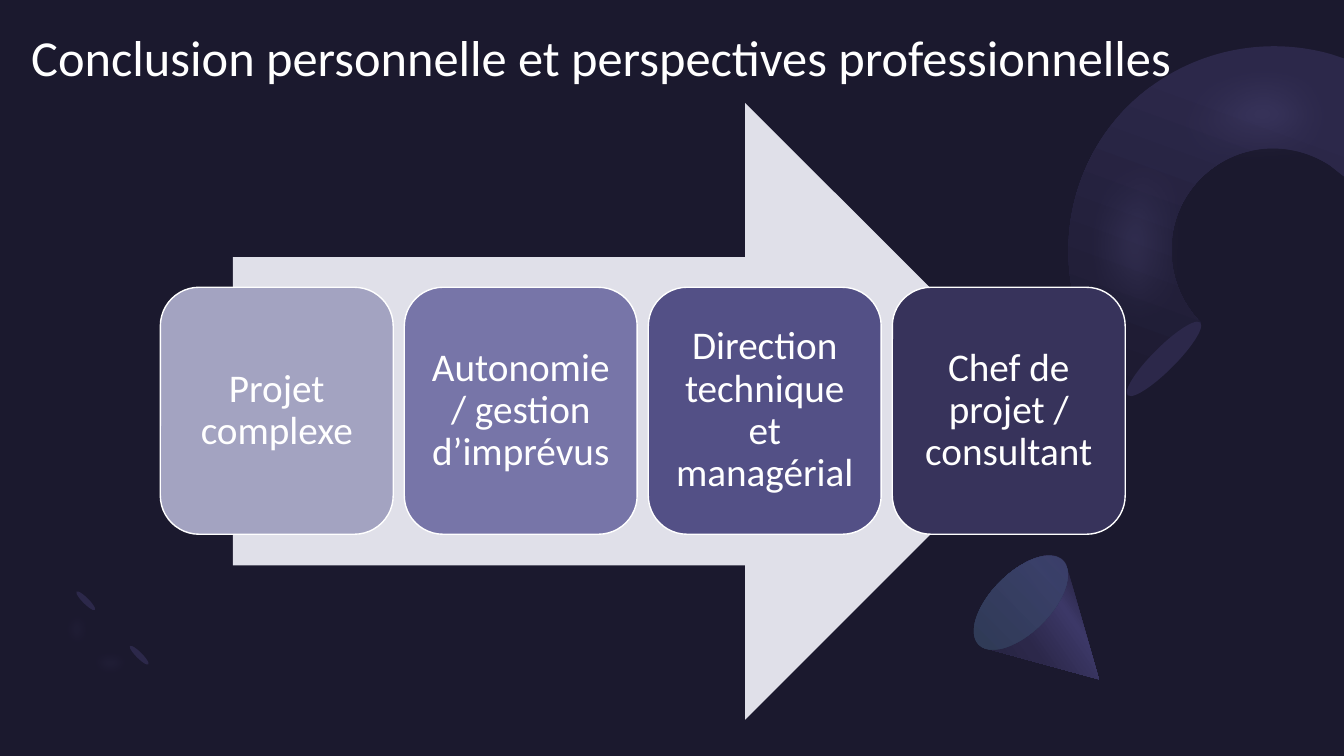
import math
from dataclasses import dataclass

from lxml import etree
from pptx import Presentation
from pptx import util as u
from pptx.dml.color import RGBColor
from pptx.enum import shapes, text
from pptx.oxml.ns import qn
from pptx.shapes.autoshape import Shape
from pptx.slide import Slide


@dataclass(frozen=True)
class Theme:
    font: str = "Calibri"
    title_size: int = 36
    step_size: int = 28
    white: str = "FFFFFF"
    night: str = "1B192E"
    indigo: str = "2C284A"
    violet: str = "3C3867"
    lavender: str = "7771B2"
    teal: str = "2F3D56"
    slate: str = "3E4270"
    arrow: str = "E0E0E9"


THEME = Theme()


@dataclass(frozen=True)
class Stop:
    position: int
    color: str


@dataclass(frozen=True)
class Paint:
    stops: tuple[Stop, ...]
    angle: int = 0
    opacity: int = 100
    soft_edge: float = 0


@dataclass(frozen=True)
class Frame:
    left: float
    top: float
    width: float
    height: float
    rotation: int = 0


@dataclass(frozen=True)
class Outline:
    frame: Frame
    paint: Paint
    start: tuple[float, float]
    segments: tuple[tuple[float, ...], ...]


@dataclass(frozen=True)
class Disc:
    frame: Frame
    paint: Paint


@dataclass(frozen=True)
class Step:
    label: str
    color: str


def plain(color: str, opacity: int = 100, soft_edge: float = 0) -> Paint:
    return Paint((Stop(0, color),), 0, opacity, soft_edge)


RING_SHADE = Paint((Stop(31, THEME.indigo), Stop(97, THEME.night)), 155)
CONE_SHADE = Paint((Stop(30, THEME.indigo), Stop(40, THEME.violet),
                    Stop(60, THEME.indigo), Stop(100, THEME.night)), 10)
BASE_SHADE = Paint((Stop(0, THEME.teal), Stop(100, THEME.slate)), 90, 90)

DECORATIONS = (
    Outline(Frame(9.91, 0.82, 3.87, 2.03, 315), RING_SHADE, (11.19, 3.92), (
        (10.4, 3.13, 10.4, 1.84, 11.19, 1.05), (11.74, 0.51, 12.52, 0.34, 13.21, 0.54),
        (13.33, 0.58), (13.33, 1.75), (13.19, 1.64),
        (12.79, 1.38, 12.26, 1.42, 11.91, 1.77), (11.52, 2.16, 11.52, 2.8, 11.91, 3.2))),
    Outline(Frame(10.04, 0.82, 3.8, 2.37, 315), plain(THEME.lavender, 40, 0.43), (11.44, 4.18), (
        (10.51, 3.26, 10.4, 1.87, 11.19, 1.07), (11.69, 0.58, 12.42, 0.44, 13.12, 0.62),
        (13.32, 0.69), (13.32, 1.82), (13.3, 1.82),
        (12.87, 1.57, 12.35, 1.59, 12.03, 1.91), (11.64, 2.31, 11.69, 3, 12.15, 3.47))),
    Disc(Frame(11.43, 3.05, 0.23, 1.02, 225), plain(THEME.indigo)),
    Outline(Frame(9.82, 5.57, 1.18, 1.38, 135), CONE_SHADE, (10.9, 6.74), (
        (9.77, 6.43), (9.76, 6.43), (9.74, 6.42, 9.73, 6.41, 9.71, 6.39),
        (9.6, 6.28, 9.69, 6, 9.92, 5.77), (10.15, 5.54, 10.43, 5.44, 10.55, 5.56),
        (10.56, 5.57, 10.57, 5.59, 10.58, 5.61), (10.58, 5.62), (10.9, 6.74))),
    Disc(Frame(9.83, 5.39, 0.59, 1.18, 225), BASE_SHADE),
    Outline(Frame(0.43, 6.16, 1.01, 0.51, 45), plain(THEME.night), (0.76, 6.59), (
        (0.56, 6.39, 0.56, 6.07, 0.76, 5.87), (0.94, 6.05),
        (0.84, 6.15, 0.84, 6.31, 0.94, 6.41), (1.03, 6.51, 1.2, 6.51, 1.29, 6.41),
        (1.47, 6.59), (1.28, 6.79, 0.95, 6.79, 0.76, 6.59))),
    Disc(Frame(1.35, 6.37, 0.06, 0.26, 135), plain(THEME.indigo)),
    Disc(Frame(0.82, 5.83, 0.06, 0.26, 135), plain(THEME.indigo)),
    Outline(Frame(0.45, 6.09, 1.01, 0.58, 45), plain(THEME.lavender, 20, 0.11), (0.76, 6.59), (
        (0.56, 6.39, 0.58, 6.05, 0.81, 5.82), (0.99, 6),
        (0.87, 6.11, 0.86, 6.29, 0.96, 6.38), (1.06, 6.48, 1.23, 6.47, 1.35, 6.36),
        (1.52, 6.54), (1.3, 6.76, 0.95, 6.79, 0.76, 6.59))),
)

STEPS = (
    Step("Projet complexe", "A3A3C1"),
    Step("Autonomie / gestion d’imprévus", "7775A8"),
    Step("Direction technique et managérial", "535086"),
    Step("Chef de projet / consultant", "37335B"),
)


def apply_paint(shape: Shape, paint: Paint) -> None:
    shape.shadow.inherit = False
    shape.line.fill.background()
    shape.fill.solid()
    shape.fill.fore_color.rgb = RGBColor.from_string(paint.stops[0].color)
    properties = shape.element.spPr
    solid = properties.find(qn("a:solidFill"))
    if len(paint.stops) > 1:
        gradient = etree.Element(qn("a:gradFill"), rotWithShape="1")
        entries = etree.SubElement(gradient, qn("a:gsLst"))
        for stop in paint.stops:
            entry = etree.SubElement(entries, qn("a:gs"), pos=str(stop.position * 1000))
            etree.SubElement(entry, qn("a:srgbClr"), val=stop.color)
        etree.SubElement(gradient, qn("a:lin"), ang=str(paint.angle * 60000), scaled="0")
        properties.replace(solid, gradient)
    if paint.opacity < 100:
        fill = properties.find(qn("a:gradFill")) if len(paint.stops) > 1 else solid
        for color in fill.iter(qn("a:srgbClr")):
            etree.SubElement(color, qn("a:alpha"), val=str(paint.opacity * 1000))
    if paint.soft_edge:
        effects = properties.find(qn("a:effectLst"))
        etree.SubElement(effects, qn("a:softEdge"), rad=str(u.Inches(paint.soft_edge)))


def inside_frame(frame: Frame, x: float, y: float) -> tuple[int, int]:
    turn = math.radians(-frame.rotation)
    dx = x - frame.left - frame.width / 2
    dy = y - frame.top - frame.height / 2
    return (u.Inches(frame.width / 2 + dx * math.cos(turn) - dy * math.sin(turn)),
            u.Inches(frame.height / 2 + dx * math.sin(turn) + dy * math.cos(turn)))


def add_command(track: etree._Element, name: str, points: list[tuple[int, int]]) -> None:
    command = etree.SubElement(track, qn(name))
    for x, y in points:
        etree.SubElement(command, qn("a:pt"), x=str(x), y=str(y))


def draw_outline(page: Slide, outline: Outline) -> None:
    frame = outline.frame
    start = inside_frame(frame, *outline.start)
    pieces = [[inside_frame(frame, *piece[i:i + 2]) for i in range(0, len(piece), 2)]
              for piece in outline.segments]
    builder = page.shapes.build_freeform(*start)
    builder.add_line_segments([piece[-1] for piece in pieces], close=True)
    shape = builder.convert_to_shape()
    shape.left, shape.top = u.Inches(frame.left), u.Inches(frame.top)
    shape.width, shape.height = u.Inches(frame.width), u.Inches(frame.height)
    shape.rotation = frame.rotation
    track = next(shape.element.iter(qn("a:path")))
    for command in list(track):
        track.remove(command)
    track.set("w", str(shape.width))
    track.set("h", str(shape.height))
    add_command(track, "a:moveTo", [start])
    for piece in pieces:
        add_command(track, "a:lnTo" if len(piece) == 1 else "a:cubicBezTo", piece)
    add_command(track, "a:close", [])
    apply_paint(shape, outline.paint)


def add_preset(page: Slide, preset: shapes.MSO_SHAPE, frame: Frame, paint: Paint) -> Shape:
    shape = page.shapes.add_shape(
        preset, u.Inches(frame.left), u.Inches(frame.top),
        u.Inches(frame.width), u.Inches(frame.height))
    shape.rotation = frame.rotation
    apply_paint(shape, paint)
    return shape


def write(box: Shape, words: str, size: int, align: text.PP_ALIGN, inset: float) -> None:
    area = box.text_frame
    area.word_wrap = True
    area.margin_left = area.margin_right = u.Inches(inset)
    area.margin_top = area.margin_bottom = u.Inches(inset)
    para = area.paragraphs[0]
    para.alignment = align
    para.line_spacing = 0.9
    span = para.add_run()
    span.text = words
    span.font.name = THEME.font
    span.font.size = u.Pt(size)
    span.font.color.rgb = RGBColor.from_string(THEME.white)


def draw_step(page: Slide, step: Step, index: int) -> None:
    frame = Frame(1.59 + 2.42 * index, 2.85, 2.31, 2.45)
    box = add_preset(page, shapes.MSO_SHAPE.ROUNDED_RECTANGLE, frame, plain(step.color))
    box.line.color.rgb = RGBColor.from_string(THEME.white)
    box.line.width = u.Pt(1)
    box.text_frame.vertical_anchor = text.MSO_ANCHOR.MIDDLE
    write(box, step.label, THEME.step_size, text.PP_ALIGN.CENTER, 0.12)


def main() -> None:
    deck = Presentation()
    deck.slide_width, deck.slide_height = u.Inches(13.33), u.Inches(7.5)
    page = deck.slides.add_slide(deck.slide_layouts[6])
    page.background.fill.solid()
    page.background.fill.fore_color.rgb = RGBColor.from_string(THEME.night)
    for item in DECORATIONS:
        if isinstance(item, Outline):
            draw_outline(page, item)
        else:
            add_preset(page, shapes.MSO_SHAPE.OVAL, item.frame, item.paint)
    title = page.shapes.add_textbox(
        u.Inches(0.31), u.Inches(0.33), u.Inches(11.65), u.Inches(0.68))
    write(title, "Conclusion personnelle et perspectives professionnelles",
          THEME.title_size, text.PP_ALIGN.LEFT, 0)
    add_preset(page, shapes.MSO_SHAPE.RIGHT_ARROW,
               Frame(2.31, 1.02, 8.14, 6.12), plain(THEME.arrow))
    for index, step in enumerate(STEPS):
        draw_step(page, step, index)
    deck.save("out.pptx")


if __name__ == "__main__":
    main()
